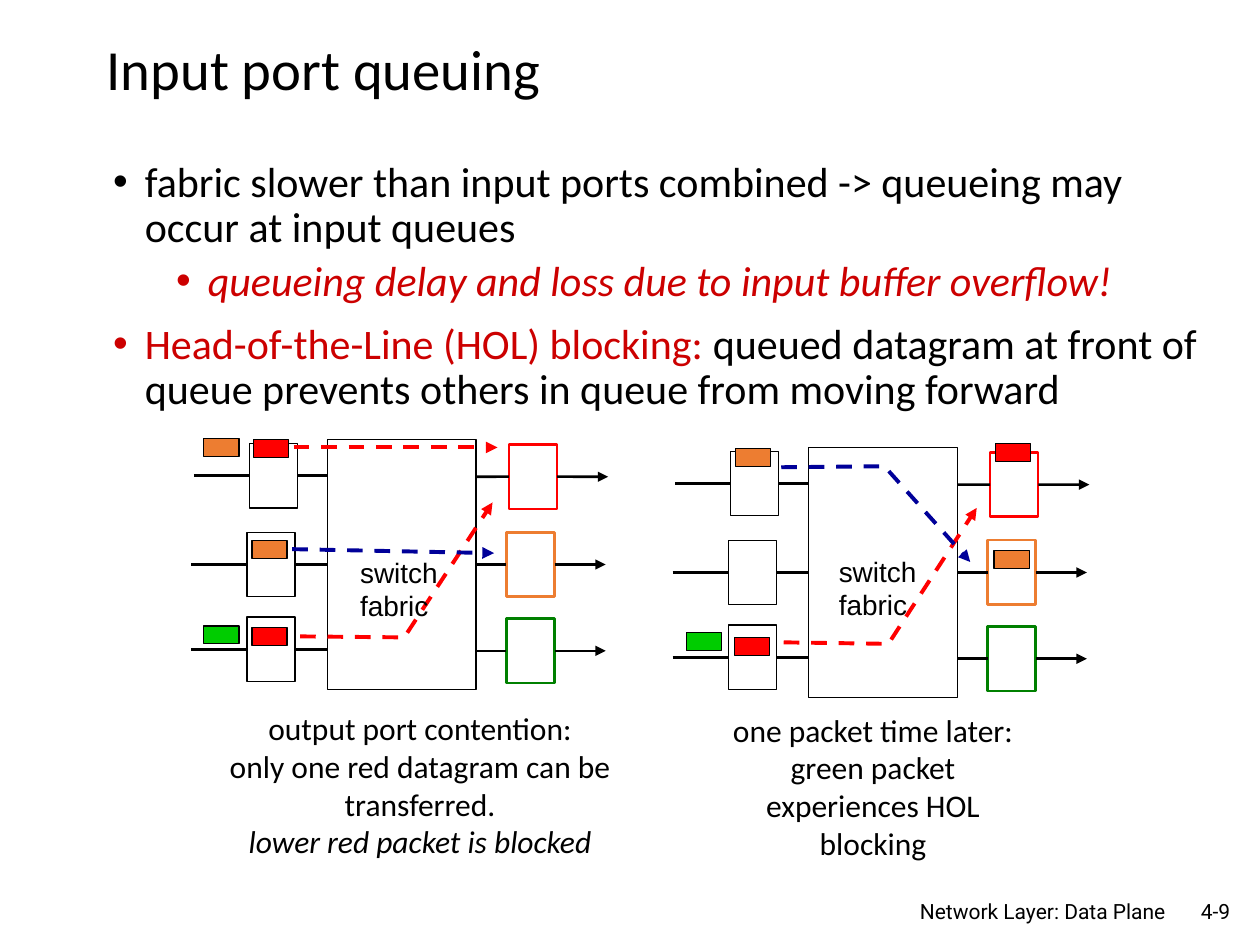
from lxml.etree import SubElement
from pptx import Presentation
from pptx.dml.color import RGBColor
from pptx.enum.dml import MSO_LINE as Dash
from pptx.enum.shapes import MSO_CONNECTOR as Conn, MSO_SHAPE as Shape
from pptx.enum.text import MSO_ANCHOR as Anchor, PP_ALIGN as Align
from pptx.oxml.ns import qn
from pptx.util import Cm, Pt

BLACK = RGBColor(0, 0, 0)
WHITE = RGBColor(255, 255, 255)
RED = RGBColor(255, 0, 0)
ORANGE = RGBColor(0xED, 0x7D, 0x31)
GREEN = RGBColor(0, 0x80, 0)
LIME = RGBColor(0, 0xCC, 0)
BLUE = RGBColor(0, 0, 0x99)
CRIMSON = RGBColor(0xCC, 0, 0)

deck = Presentation()
deck.slide_width, deck.slide_height = Cm(25.4), Cm(19.05)
slide = deck.slides.add_slide(deck.slide_layouts[6])
shapes = slide.shapes


def write(place, lines, size, font="Calibri", align=Align.LEFT,
          anchor=Anchor.TOP, wrap=True):
    """Add a text box with one paragraph per line; return the paragraphs."""
    frame = shapes.add_textbox(*map(Cm, place)).text_frame
    frame.word_wrap = wrap
    frame.vertical_anchor = anchor
    for i, line in enumerate(lines):
        para = frame.add_paragraph() if i else frame.paragraphs[0]
        para.text = line
        para.alignment = align
        para.font.size = Pt(size)
        para.font.name = font
        para.font.color.rgb = BLACK
    return frame.paragraphs


def draw(points, color=BLACK, width=1.5, dash=False, arrow=False):
    """Draw a straight connector, or a bent open path for more points."""
    spots = [(Cm(x), Cm(y)) for x, y in points]
    if len(spots) == 2:
        item = shapes.add_connector(Conn.STRAIGHT, *spots[0], *spots[1])
        SubElement(item._element.spPr, qn("a:effectLst"))
    else:
        path = shapes.build_freeform(*spots[0])
        path.add_line_segments(spots[1:], close=False)
        item = path.convert_to_shape()
        item.fill.background()
        item.shadow.inherit = False
    item.line.color.rgb = color
    item.line.width = Pt(width)
    if dash:
        item.line.dash_style = Dash.DASH
    if arrow:
        SubElement(item.line._get_or_add_ln(), qn("a:tailEnd"), type="triangle")
    return item


# Title
title, = write((1.9, 0.81, 21.6, 1.27), ["Input port queuing"], 32.4,
               anchor=Anchor.MIDDLE)
title.line_spacing = 0.9

# Bullets: level, colour, space before
body = write((2.03, 3.12, 22.5, 7.37), [
    "fabric slower than input ports combined -> queueing may occur at input queues",
    "queueing delay and loss due to input buffer overflow!",
    "Head-of-the-Line (HOL) blocking:"], 24)
styles = [(0, BLACK, 0), (1, CRIMSON, 5), (0, CRIMSON, 10)]
for para, (level, color, space) in zip(body, styles):
    para.level = level
    para.line_spacing = 0.9
    para.space_before = Pt(space)
    props = para._p.get_or_add_pPr()
    props.set("marL", str(Cm(0.64 + 1.27 * level)))
    props.set("indent", str(Cm(-0.64)))
    last = props.find(qn("a:defRPr"))
    props.remove(last)
    tint = SubElement(props, qn("a:buClr"))
    SubElement(tint, qn("a:srgbClr"), val=str(color))
    SubElement(props, qn("a:buFont"), typeface="Arial")
    SubElement(props, qn("a:buChar"), char="•")
    props.append(last)
    para.font.color.rgb = color
    para.font.italic = level == 1
rest = body[2].add_run()
rest.text = " queued datagram at front of queue prevents others in queue from moving forward"
rest.font.color.rgb = BLACK

# Switches: each has a fabric, three input ports and three output ports
WIDE, HIGH = 0.97, 1.3
rows = [(0, 0.08, 0.1, RED), (-0.05, 1.87, 1.87, ORANGE), (-0.05, 3.58, 3.61, GREEN)]
for left, top in [(6.6, 8.86), (16.3, 9.02)]:
    parts = [(left, top, 3, 5.04, BLACK, 0.75)]
    for shift, iny, outy, color in rows:
        parts += [(left + shift - 1.57, top + iny, WIDE, HIGH, BLACK, 0.75),
                  (left + shift + 3.66, top + outy, WIDE, HIGH, color, 1.5)]
    made = []
    for x, y, w, h, color, width in parts:
        rect = shapes.add_shape(Shape.RECTANGLE, Cm(x), Cm(y), Cm(w), Cm(h))
        rect.shadow.inherit = False
        rect.fill.solid()
        rect.fill.fore_color.rgb = WHITE
        rect.line.color.rgb = color
        rect.line.width = Pt(width)
        made.append(rect)
    fabric = made[0]

    # Wires into, through and out of each row of ports
    for i, (shift, iny, outy, color) in enumerate(rows):
        inport, outport = made[1 + 2 * i:3 + 2 * i]
        x = left + shift
        iny, outy = top + iny + HIGH / 2, top + outy + HIGH / 2
        feed = draw([(x - 2.69, iny), (x - 1.57, iny)])
        feed.end_connect(inport, 1)
        enter = draw([(x - 0.6, iny), (left, iny)])
        enter.begin_connect(inport, 3)
        leave = draw([(left + 3, outy), (x + 3.66, outy)])
        leave.end_connect(outport, 1)
        if i == 1:
            enter.end_connect(fabric, 1)
            leave.begin_connect(fabric, 3)
        exit_wire = draw([(x + 4.63, outy), (x + 5.66, outy)], arrow=True)
        exit_wire.begin_connect(outport, 3)

# Packets
packets = [
    (5.11, 8.86, RED), (5.08, 10.9, ORANGE), (5.08, 12.65, RED),
    (4.11, 8.84, ORANGE), (4.11, 12.62, LIME),
    (20.07, 8.94, RED), (14.83, 9.04, ORANGE), (14.81, 12.85, RED),
    (13.84, 12.75, LIME), (20.04, 11.1, ORANGE)]
for x, y, color in packets:
    rect = shapes.add_shape(Shape.RECTANGLE, Cm(x), Cm(y), Cm(0.71), Cm(0.36))
    rect.shadow.inherit = False
    rect.fill.solid()
    rect.fill.fore_color.rgb = color
    rect.line.color.rgb = BLACK
    rect.line.width = Pt(0.75)

# Packet routes
routes = [
    (RED, [(5.92, 9.02), (10.03, 9.02)]),
    (RED, [(6.05, 12.83), (8.15, 12.85), (9.93, 10.13)]),
    (BLUE, [(5.89, 11.07), (9.96, 11.15)]),
    (RED, [(15.8, 12.95), (17.91, 12.98), (19.69, 10.24)]),
    (BLUE, [(15.75, 9.42), (17.83, 9.4), (19.56, 11.33)])]
for color, points in routes:
    draw(points, color, 2.25, dash=True, arrow=True)

# Fabric labels and captions
for x, y in [(7.01, 11.07), (16.66, 11.05)]:
    write((x, y, 2.08, 1.63), ["switch", "fabric"], 16, "Arial", wrap=False)
notes = write((3.76, 14.17, 9.42, 3.3), [
    "output port contention:", "only one red datagram can be transferred."],
    18, align=Align.CENTER)
notes[1].add_line_break()
blocked = notes[1].add_run()
blocked.text = "lower red packet is blocked"
blocked.font.italic = True
write((14.5, 14.2, 6.2, 3.3),
      ["one packet time later: green packet experiences HOL blocking"],
      18, align=Align.CENTER)

# Footer
write((23.5, 17.98, 1.55, 0.76), ["4-9"], 12, "Roboto", Align.RIGHT, Anchor.MIDDLE)
write((17.7, 17.98, 6.05, 0.66), ["Network Layer: Data Plane"], 12, "Roboto",
      Align.RIGHT)

deck.save("out.pptx")
